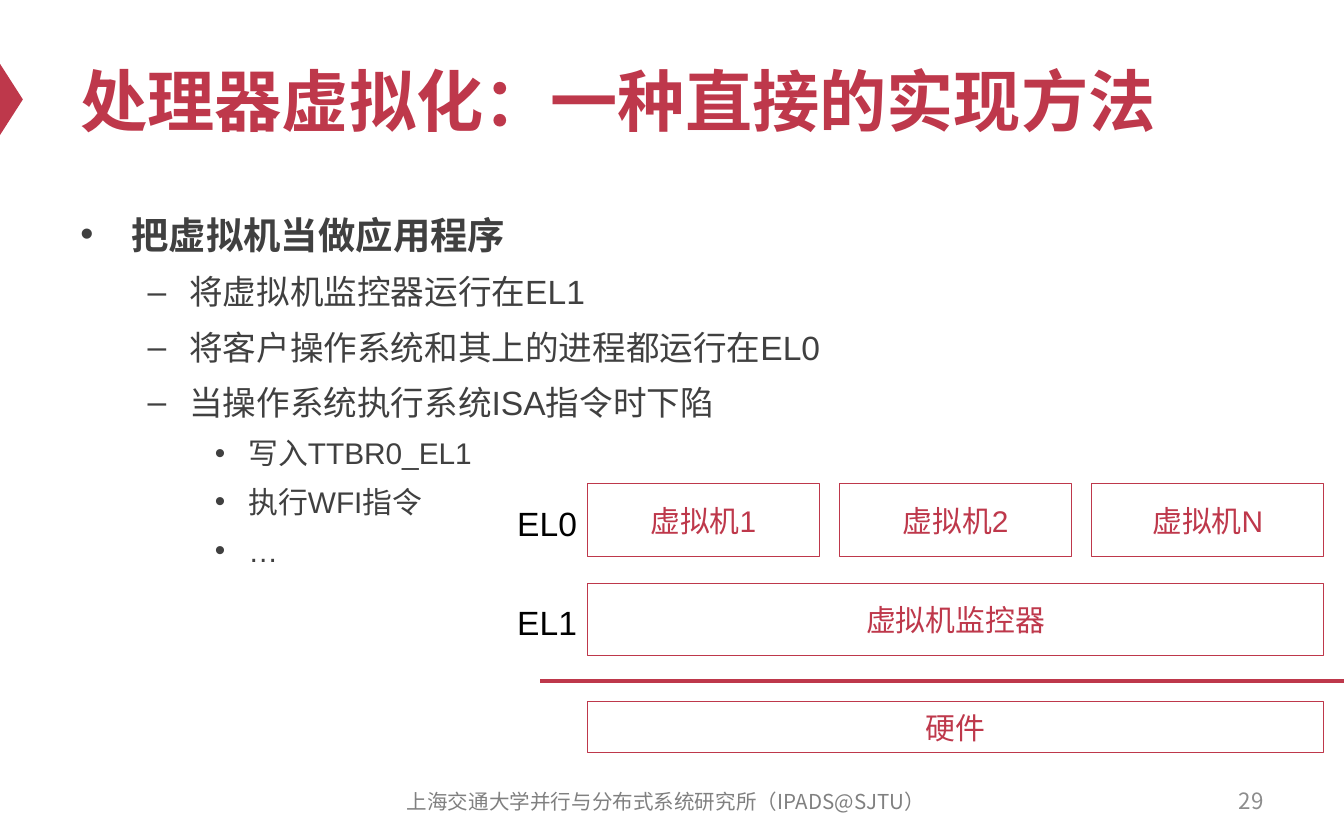
"""Build the slide on a direct way to virtualize a processor."""
from lxml.etree import SubElement
from pptx import Presentation
from pptx.dml.color import RGBColor
from pptx.enum.shapes import MSO_CONNECTOR as Connector, MSO_SHAPE as Shape
from pptx.enum.text import MSO_ANCHOR as Anchor, PP_ALIGN as Align
from pptx.oxml.ns import qn
from pptx.util import Inches, Pt

RED = RGBColor(0xBE, 0x38, 0x4B)
DARK = RGBColor(0x40, 0x40, 0x40)
GRAY = RGBColor(0x80, 0x80, 0x80)
LIGHT_GRAY = RGBColor(0x8C, 0x8C, 0x8C)
BLACK = RGBColor(0, 0, 0)
WHITE = RGBColor(0xFF, 0xFF, 0xFF)
LATIN, CJK = "Arial", "Noto Sans CJK SC"

TITLE = "处理器虚拟化：一种直接的实现方法"
BULLETS = [
    (0, "把虚拟机当做应用程序"),
    (1, "将虚拟机监控器运行在EL1"),
    (1, "将客户操作系统和其上的进程都运行在EL0"),
    (1, "当操作系统执行系统ISA指令时下陷"),
    (2, "写入TTBR0_EL1"),
    (2, "执行WFI指令"),
    (2, "…"),
]
LEVELS = [
    {"mark": "•", "left": 0.38, "hang": 0.38, "size": 20, "bold": True},
    {"mark": "–", "left": 0.81, "hang": 0.31, "size": 18, "bold": False},
    {"mark": "•", "left": 1.25, "hang": 0.25, "size": 16, "bold": False},
]
DIAGRAM_ROWS = [
    {"top": 3.6, "height": 0.54, "label": "EL0", "boxes": ["虚拟机1", "虚拟机2", "虚拟机N"]},
    {"top": 4.34, "height": 0.54, "label": "EL1", "boxes": ["虚拟机监控器"]},
    {"top": 5.22, "height": 0.38, "label": None, "boxes": ["硬件"]},
]
FOOTER = "上海交通大学并行与分布式系统研究所（IPADS@SJTU）"
PAGE_NUMBER = "29"

WIDTH, HEIGHT, MARGIN = 10, 6.25, 0.5
CONTENT_WIDTH = WIDTH - 2 * MARGIN
DIAGRAM_LEFT, DIAGRAM_WIDTH, GAP = 4.37, 5.48, 0.15
LABEL_LEFT, LABEL_WIDTH, LABEL_HEIGHT = 3.75, 0.65, 0.4
DIVIDER_LEFT, DIVIDER_RIGHT, DIVIDER_TOP = 4.02, 10.08, 5.07


def add_run(paragraph, text, size, color, bold=False, font=LATIN):
    run = paragraph.add_run()
    run.text = text
    run.font.size = Pt(size)
    run.font.bold = bold
    run.font.color.rgb = color
    run.font.name = font
    SubElement(run.font._element, qn("a:ea")).set("typeface", CJK)


def add_text_box(slide, area, anchor=Anchor.MIDDLE, wrap=True):
    box = slide.shapes.add_textbox(*map(Inches, area))
    box.text_frame.word_wrap = wrap
    box.text_frame.vertical_anchor = anchor
    return box.text_frame


def add_line_of_text(slide, area, text, size, color, align=Align.LEFT, **style):
    paragraph = add_text_box(slide, area).paragraphs[0]
    paragraph.alignment = align
    add_run(paragraph, text, size, color, **style)


def add_marker(slide):
    width, height, middle = 0.53, 0.17, 0.74
    area = (height / 2 - width / 2, middle - height / 2, width, height)
    marker = slide.shapes.add_shape(Shape.ISOSCELES_TRIANGLE, *map(Inches, area))
    marker.rotation = 90
    marker.shadow.inherit = False
    marker.fill.solid()
    marker.fill.fore_color.rgb = RED
    marker.line.fill.background()


def add_bullets(slide):
    frame = add_text_box(slide, (MARGIN, 1.46, CONTENT_WIDTH, 4.12), Anchor.TOP)
    for index, (depth, text) in enumerate(BULLETS):
        level = LEVELS[depth]
        paragraph = frame.add_paragraph() if index else frame.paragraphs[0]
        paragraph.level = depth
        paragraph.line_spacing = 1.2
        paragraph.space_before = Pt(0.2 * level["size"] if index else 0)
        properties = paragraph._p.get_or_add_pPr()
        properties.set("marL", str(Inches(level["left"])))
        properties.set("indent", str(-Inches(level["hang"])))
        SubElement(properties, qn("a:buFont")).set("typeface", LATIN)
        SubElement(properties, qn("a:buChar")).set("char", level["mark"])
        add_run(paragraph, text, level["size"], DARK, level["bold"])


def add_box(slide, area, text):
    box = slide.shapes.add_shape(Shape.RECTANGLE, *map(Inches, area))
    box.shadow.inherit = False
    box.fill.solid()
    box.fill.fore_color.rgb = WHITE
    box.line.color.rgb = RED
    box.line.width = Pt(0.75)
    box.text_frame.vertical_anchor = Anchor.MIDDLE
    paragraph = box.text_frame.paragraphs[0]
    paragraph.alignment = Align.CENTER
    add_run(paragraph, text, 16, RED)


def add_diagram(slide):
    for row in DIAGRAM_ROWS:
        top, height, count = row["top"], row["height"], len(row["boxes"])
        width = (DIAGRAM_WIDTH - GAP * (count - 1)) / count
        for column, text in enumerate(row["boxes"]):
            left = DIAGRAM_LEFT + column * (width + GAP)
            add_box(slide, (left, top, width, height), text)
        if row["label"]:
            area = (LABEL_LEFT, top + 0.09, LABEL_WIDTH, LABEL_HEIGHT)
            frame = add_text_box(slide, area, Anchor.TOP, wrap=False)
            add_run(frame.paragraphs[0], row["label"], 18, BLACK)
    ends = (DIVIDER_LEFT, DIVIDER_TOP, DIVIDER_RIGHT, DIVIDER_TOP)
    divider = slide.shapes.add_connector(Connector.STRAIGHT, *map(Inches, ends))
    divider.line.color.rgb = RED
    divider.line.width = Pt(2)
    SubElement(divider._element.spPr, qn("a:effectLst"))


def main():
    presentation = Presentation()
    presentation.slide_width, presentation.slide_height = Inches(WIDTH), Inches(HEIGHT)
    slide = presentation.slides.add_slide(presentation.slide_layouts[6])
    add_marker(slide)
    add_line_of_text(slide, (MARGIN, 0.25, CONTENT_WIDTH, 0.98), TITLE, 36, RED, bold=True)
    add_bullets(slide)
    add_line_of_text(slide, (7.17, 5.79, 2.33, 0.33), PAGE_NUMBER, 12, LIGHT_GRAY,
                     Align.RIGHT, font=CJK)
    add_line_of_text(slide, (2.79, 5.8, 4.33, 0.33), FOOTER, 11, GRAY, Align.CENTER, font=CJK)
    add_diagram(slide)
    presentation.save("out.pptx")


if __name__ == "__main__":
    main()
